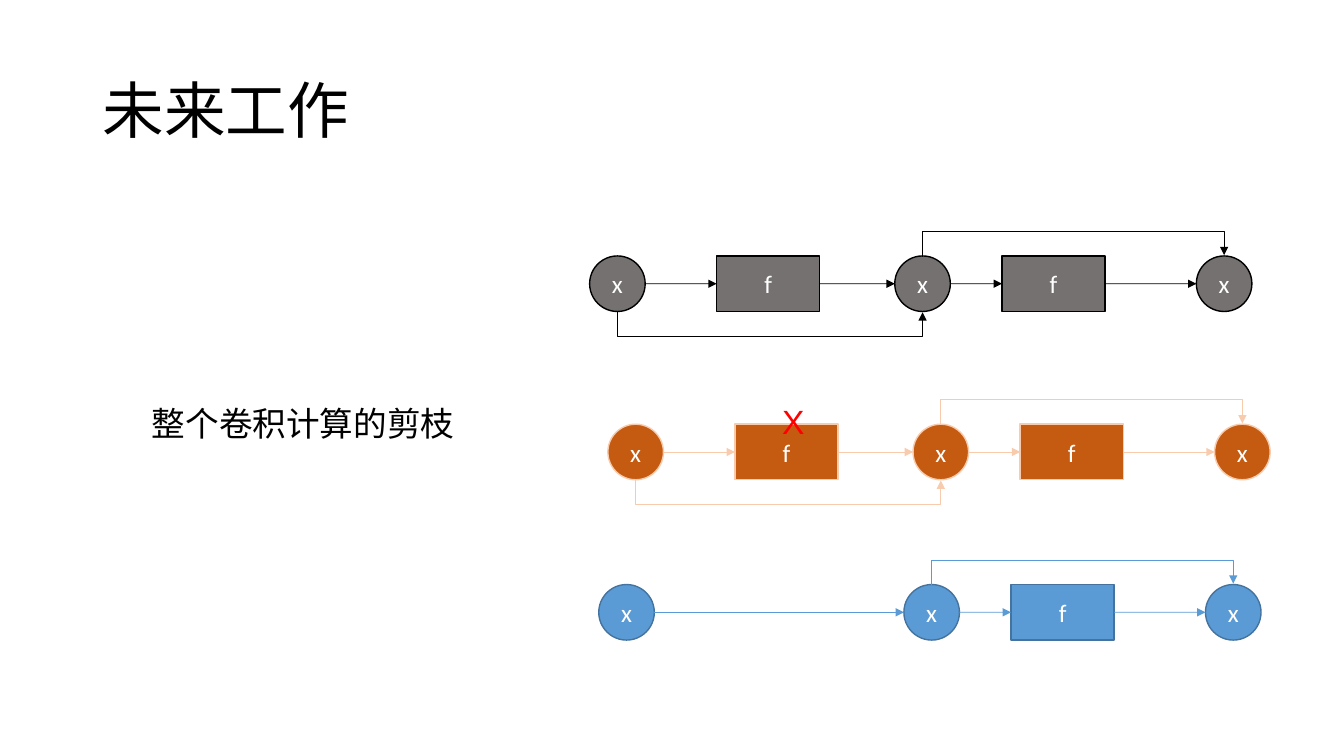
from pptx import Presentation
from pptx import util as u
from pptx.dml.color import RGBColor
from pptx.enum import shapes as sh, text as tx
from pptx.oxml.ns import qn
from lxml import etree

Cm = u.Cm
HUE = {"ink": "000000", "white": "FFFFFF", "red": "FF0000",
       "grey": "767171", "rust": "C55A11", "peach": "F8CBAD",
       "blue": "5B9BD5", "navy": "43739E"}


def write(shape, words, size=18, color="white", font="Calibri",
          align=tx.PP_ALIGN.LEFT, anchor=tx.MSO_ANCHOR.TOP,
          space=1.0, fit=tx.MSO_AUTO_SIZE.NONE):
    frame = shape.text_frame
    frame.word_wrap = True
    frame.auto_size = fit
    frame.vertical_anchor = anchor
    par = frame.paragraphs[0]
    par.alignment = align
    par.line_spacing = space
    run = par.add_run()
    run.text = words
    run.font.size = u.Pt(size)
    run.font.name = font
    run.font.color.rgb = RGBColor.from_string(HUE[color])


def arrow(kind, color, x1, y1, x2, y2):
    link = slide.shapes.add_connector(kind, Cm(x1), Cm(y1), Cm(x2), Cm(y2))
    link.line.width = u.Pt(0.5)
    link.line.color.rgb = RGBColor.from_string(HUE[color])
    props = link._element.spPr
    etree.SubElement(props.find(qn("a:ln")), qn("a:tailEnd"), type="triangle")
    etree.SubElement(props, qn("a:effectLst"))
    return link


deck = Presentation()
deck.slide_width, deck.slide_height = Cm(33.87), Cm(19.05)
slide = deck.slides.add_slide(deck.slide_layouts[5])

# Title
title = slide.shapes.title
title.left, title.top, title.width, title.height = Cm(2.33), Cm(1.01), Cm(29.21), Cm(3.68)
write(title, "未来工作", size=44, color="ink", anchor=tx.MSO_ANCHOR.MIDDLE, space=0.9)

# Rows: left, top, fill, outline, arrow colour, nodes shown
ROWS = [(14.86, 6.45, "grey", "ink", "ink", "afbgc"),
        (15.32, 10.69, "rust", "peach", "peach", "afbgc"),
        (15.09, 14.73, "blue", "navy", "blue", "abgc")]
# Nodes: offset from the row's left, width, label, preset
BALL, BOX = sh.MSO_SHAPE.OVAL, sh.MSO_SHAPE.RECTANGLE
NODES = {"a": (0, 1.4, "x", BALL), "f": (3.2, 2.6, "f", BOX),
         "b": (7.69, 1.4, "x", BALL), "g": (10.39, 2.6, "f", BOX),
         "c": (15.29, 1.4, "x", BALL)}
TALL = 1.4
BEND, THIN = 0.64, 0.04     # depth of a skip arrow, gap between its ends

for left, top, fill, edge, wire, keys in ROWS:
    # Circles and boxes
    made = {}
    for key in keys:
        dx, wide, label, form = NODES[key]
        node = slide.shapes.add_shape(form, Cm(left + dx), Cm(top), Cm(wide), Cm(TALL))
        node.shadow.inherit = False
        node.fill.solid()
        node.fill.fore_color.rgb = RGBColor.from_string(HUE[fill])
        node.line.color.rgb = RGBColor.from_string(HUE[edge])
        node.line.width = u.Pt(1)
        write(node, label, align=tx.PP_ALIGN.CENTER, anchor=tx.MSO_ANCHOR.MIDDLE)
        made[key] = node

    # Straight arrows between neighbours
    mid = top + TALL / 2
    for one, two in zip(keys, keys[1:]):
        start = left + NODES[one][0] + NODES[one][1]
        link = arrow(sh.MSO_CONNECTOR.STRAIGHT, wire, start, mid, left + NODES[two][0], mid)
        if NODES[one][3] == BOX:
            link.begin_connect(made[one], 3)
        if NODES[two][3] == BOX:
            link.end_connect(made[two], 1)

    # Skip arrows: a turned elbow below the first box and above the second
    skips = [("b", "c", top, {"rot": "5400000", "flipH": "1", "flipV": "1"})]
    if "f" in keys:
        skips.append(("a", "b", top + TALL, {"rot": "16200000", "flipH": "1"}))
    for one, two, y, turn in skips:
        span = NODES[two][0] - NODES[one][0]
        x = left + NODES[one][0] + TALL / 2 + span / 2
        link = arrow(sh.MSO_CONNECTOR.ELBOW, wire, x - THIN / 2, y - span / 2,
                     x + THIN / 2, y + span / 2)
        props = link._element.spPr
        for name, value in turn.items():
            props.find(qn("a:xfrm")).set(name, value)
        bends = props.find(qn("a:prstGeom")).find(qn("a:avLst"))
        etree.SubElement(bends, qn("a:gd"), name="adj1",
                         fmla=f"val {round(BEND / THIN * 100000)}")

# Pruning mark and caption
GROW = tx.MSO_AUTO_SIZE.SHAPE_TO_FIT_TEXT
mark = slide.shapes.add_textbox(Cm(19.46), Cm(9.98), Cm(2.6), Cm(1.28))
write(mark, "X", size=24, color="red", font="Arial", fit=GROW)
note = slide.shapes.add_textbox(Cm(3.58), Cm(9.53), Cm(8.97), Cm(1.63))
write(note, "整个卷积计算的剪枝", size=24, color="ink", space=1.5, fit=GROW)

deck.save("out.pptx")
